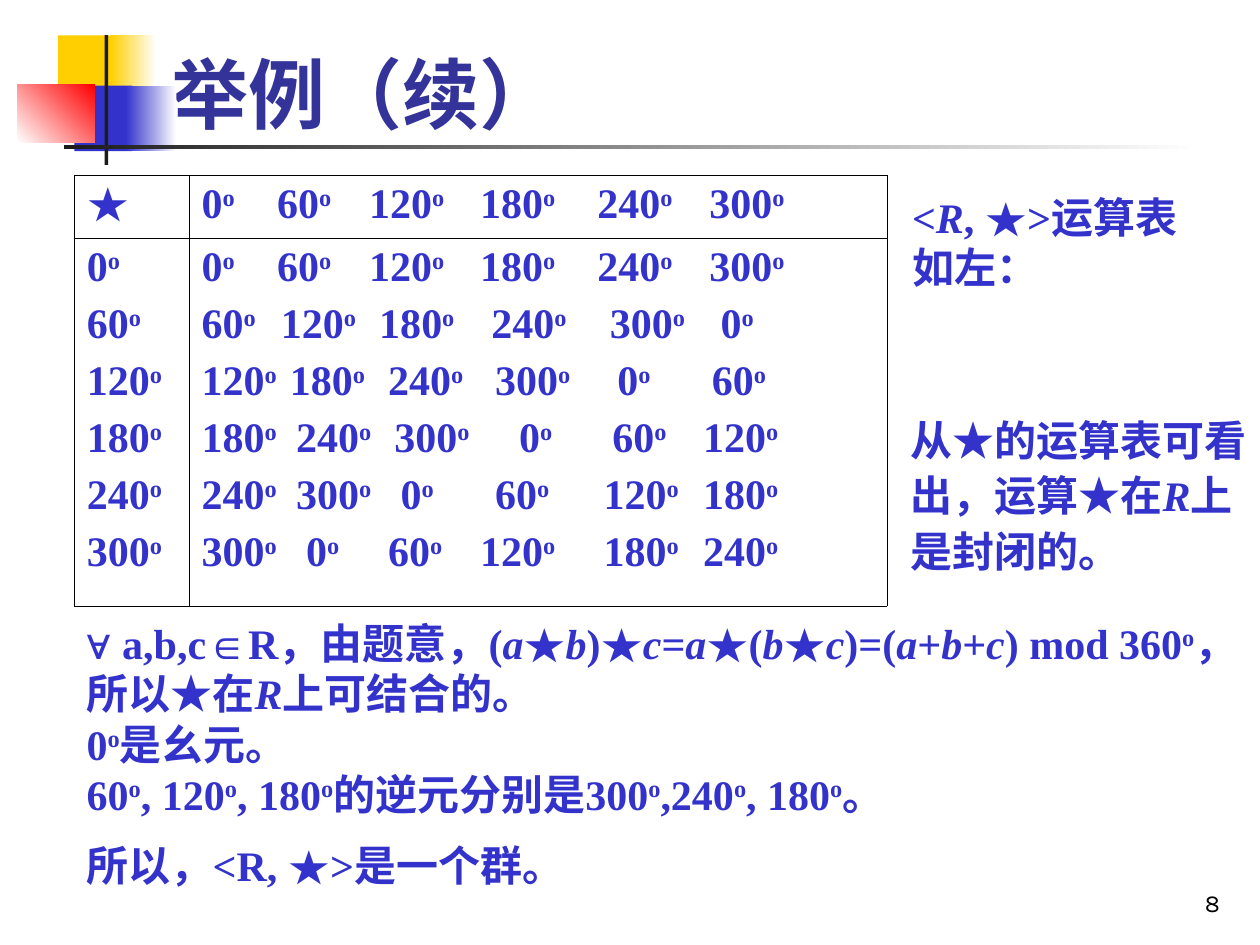
from dataclasses import dataclass

from lxml.etree import SubElement
from pptx import Presentation
from pptx.dml.color import RGBColor
from pptx.enum.shapes import MSO_SHAPE
from pptx.enum.text import MSO_ANCHOR, MSO_AUTO_SIZE, PP_ALIGN
from pptx.oxml.ns import qn
from pptx.util import Emu, Inches, Pt

COLORS = {
    "yellow": "FFCF01", "blue": "3333CC", "red": "FF0000", "white": "FFFFFF",
    "dark": "1C1C1C", "title": "333399", "black": "000000",
}
COLUMNS, ROWS = 100, 75
UNIT = Inches(10) // COLUMNS
SERIF, SANS = "Times New Roman", "Karla"


@dataclass(frozen=True)
class Area:
    """A rectangle in columns and rows of the slide grid."""
    left: float
    top: float
    width: float
    height: float

    def lengths(self) -> tuple:
        return tuple(grid(n) for n in (self.left, self.top, self.width, self.height))


@dataclass(frozen=True)
class Block:
    area: Area
    start: str
    end: str = ""
    angle: int = 0


@dataclass(frozen=True)
class Line:
    """Text with pieces split by "|": "/" marks italic, "^" superscript,
    "~" the sans font; "°" stands for a raised o."""
    text: str
    before: float = 0
    spacing: float = 1.0
    tabs: tuple = ()


BLOCKS = [
    Block(Area(4.6, 2.8, 4.8, 5.2), "yellow"),
    Block(Area(8.8, 2.8, 3.6, 5.2), "yellow", "white"),
    Block(Area(5.9, 6.8, 4.6, 5.2), "blue"),
    Block(Area(10, 6.8, 4, 5.2), "blue", "white"),
    Block(Area(1.4, 6.7, 6.1, 4.6), "white", "red", 45),
    Block(Area(8.3, 2.8, 0.3, 10.3), "dark"),
    Block(Area(5.1, 11.5, 90, 0.3), "dark", "white"),
]

ANGLES = [f"{60 * step}°" for step in range(6)]
HEADER_TABS = (6, 13.3, 22.1, 31.4, 40.3)
BODY_TABS = [
    HEADER_TABS,
    (6.3, 14.1, 23, 32.4, 41.2),
    (7, 14.8, 23.3, 33, 40.5),
    (7.5, 15.3, 25.2, 32.6, 39.8),
    (7.5, 15.8, 23.3, 31.9, 39.8),
    (8.3, 14.8, 22.1, 31.9, 39.8),
]

PROOF = [
    Line("~∀| a,b,c∈R，由题意，(|/a|★|/b|)★|/c|=|/a|★(|/b|★|/c|)=(|/a|+|/b|+|/c|) mod 360°，"),
    Line("所以★在|/R|上可结合的。"),
    Line("0°是幺元。"),
    Line("60°, 120°, 180°的逆元分别是300°,240°, 180°。"),
    Line("所以，<R, ★>是一个群。", before=9, spacing=1.1),
]


def grid(count: float) -> Emu:
    return Emu(round(count * UNIT))


def color(name: str) -> RGBColor:
    return RGBColor.from_string(COLORS[name])


def add_span(para, text: str, size: float, font: str, color_name: str, bold: bool):
    span = para.add_run()
    span.text = text
    span.font.size = Pt(size)
    span.font.name = font
    span.font.bold = bold
    span.font.color.rgb = color(color_name)
    return span


def write_line(para, line: Line) -> None:
    if line.tabs:
        stops = SubElement(para._p.get_or_add_pPr(), qn("a:tabLst"))
        for stop in line.tabs:
            SubElement(stops, qn("a:tab"), pos=str(grid(stop)), algn="l")
    if line.before:
        para.space_before = Pt(line.before)
    para.line_spacing = line.spacing
    for piece in line.text.replace("°", "|^o|").split("|"):
        if not piece:
            continue
        mark = piece[0] if piece[0] in "/^~" else ""
        font = "Arial" if mark == "~" else SERIF
        span = add_span(para, piece[len(mark):], 24, font, "blue", True)
        if mark == "/":
            span.font.italic = True
        elif mark == "^":
            span.font._element.set("baseline", "30000")


def write_lines(frame, lines: list[Line]) -> None:
    for index, line in enumerate(lines):
        write_line(frame.add_paragraph() if index else frame.paragraphs[0], line)


def add_block(page, block: Block) -> None:
    shape = page.shapes.add_shape(MSO_SHAPE.RECTANGLE, *block.area.lengths())
    shape.shadow.inherit = False
    shape.line.fill.background()
    if block.end:
        shape.fill.gradient()
        shape.fill.gradient_angle = block.angle
        for stop, name in zip(shape.fill.gradient_stops, (block.start, block.end)):
            stop.color.rgb = color(name)
    else:
        shape.fill.solid()
        shape.fill.fore_color.rgb = color(block.start)


def add_text(page, area: Area, lines: list[Line], wrap: bool = True) -> None:
    frame = page.shapes.add_textbox(*area.lengths()).text_frame
    frame.word_wrap = wrap
    frame.auto_size = MSO_AUTO_SIZE.SHAPE_TO_FIT_TEXT
    write_lines(frame, lines)


def outline_cell(cell) -> None:
    properties = cell._tc.get_or_add_tcPr()
    for side in ("lnL", "lnR", "lnT", "lnB"):
        border = SubElement(properties, qn(f"a:{side}"), w=str(Pt(0.5)))
        fill = SubElement(border, qn("a:solidFill"))
        SubElement(fill, qn("a:srgbClr"), val=COLORS["black"])
    cell.fill.background()


def add_operation_table(page) -> None:
    area = Area(5.9, 13.9, 64.5, 34.2)
    table = page.shapes.add_table(2, 2, *area.lengths()).table
    table.first_row = table.horz_banding = False
    for column, width in zip(table.columns, (9.1, 55.4)):
        column.width = grid(width)
    for row, height in zip(table.rows, (5, 29.2)):
        row.height = grid(height)
    labels, results = [], []
    for index, (angle, tabs) in enumerate(zip(ANGLES, BODY_TABS)):
        before = 6 if index else 0
        sums = ANGLES[index:] + ANGLES[:index]
        labels.append(Line(angle, before))
        results.append(Line("\t".join(sums), before, tabs=tabs))
    header = Line("\t".join(ANGLES), tabs=HEADER_TABS)
    contents = [[Line("★")], [header], labels, results]
    for cell, lines in zip(table.iter_cells(), contents):
        outline_cell(cell)
        write_lines(cell.text_frame, lines)


def add_title(page) -> None:
    title = page.shapes.title
    title.left, title.top, title.width, title.height = Area(12.6, 0.8, 85.2, 10.7).lengths()
    frame = title.text_frame
    frame.vertical_anchor = MSO_ANCHOR.BOTTOM
    frame.auto_size = MSO_AUTO_SIZE.NONE
    para = frame.paragraphs[0]
    para.alignment = PP_ALIGN.LEFT
    add_span(para, "举例（续）", 44, SANS, "title", True)


def add_page_number(page) -> None:
    frame = page.shapes.add_textbox(*Area(77, 68.3, 20.8, 5).lengths()).text_frame
    frame.word_wrap = True
    frame.vertical_anchor = MSO_ANCHOR.BOTTOM
    para = frame.paragraphs[0]
    para.alignment = PP_ALIGN.RIGHT
    add_span(para, "8", 14, SANS, "black", False)


def main() -> None:
    deck = Presentation()
    deck.slide_width, deck.slide_height = grid(COLUMNS), grid(ROWS)
    page = deck.slides.add_slide(deck.slide_layouts[5])
    for block in BLOCKS:
        add_block(page, block)
    add_page_number(page)
    add_title(page)
    add_operation_table(page)
    add_text(page, Area(71.4, 14.7, 23.8, 9),
             [Line("<|/R|, ★>运算表"), Line("如左：")], wrap=False)
    add_text(page, Area(5.9, 48.5, 95.3, 22.7), PROOF)
    add_text(page, Area(71.3, 32, 28.7, 14.2),
             [Line("从★的运算表可看出，运算★在|/R|上是封闭的。", spacing=1.1)])
    deck.save("out.pptx")


if __name__ == "__main__":
    main()
